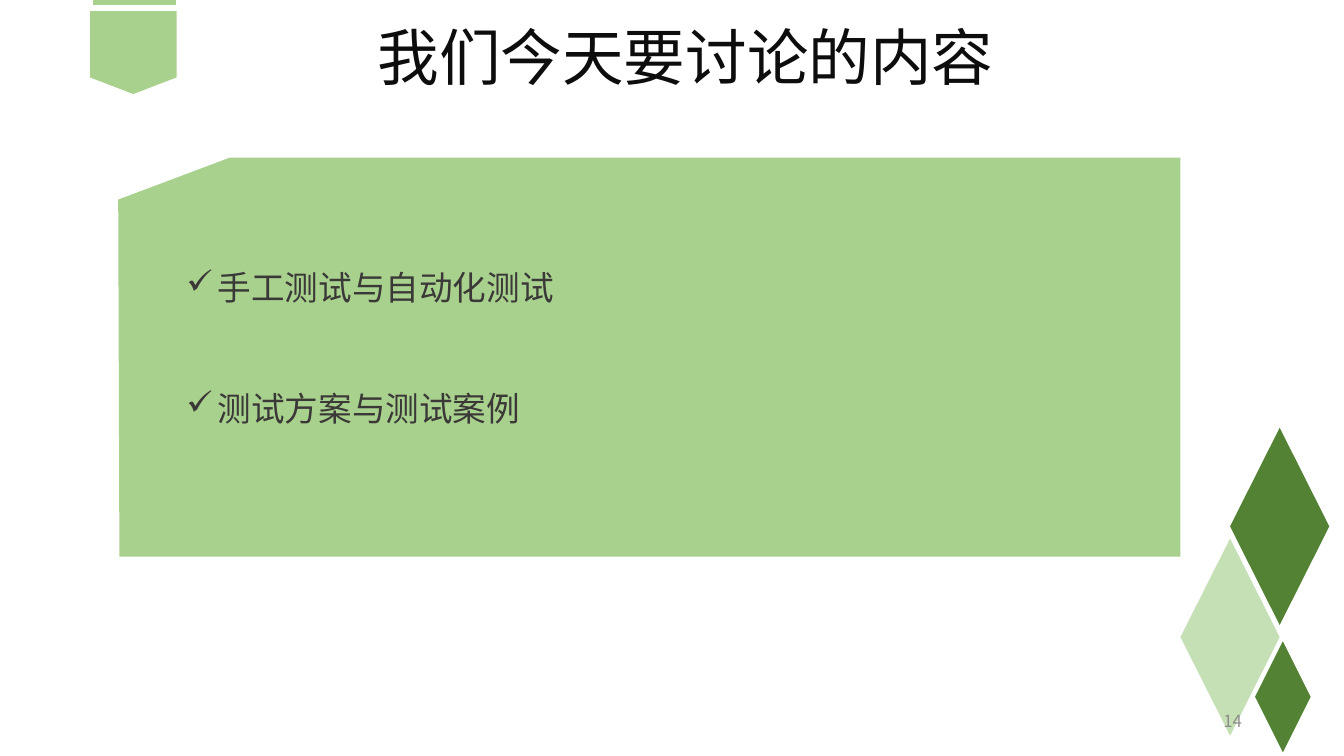
from dataclasses import dataclass

from lxml import etree
from pptx import Presentation
from pptx.dml.color import RGBColor
from pptx.enum.shapes import MSO_SHAPE
from pptx.enum.text import MSO_ANCHOR, PP_ALIGN
from pptx.oxml.ns import qn
from pptx.util import Cm, Pt

DIAMOND = MSO_SHAPE.DIAMOND
RIBBON = MSO_SHAPE.FLOWCHART_OFFPAGE_CONNECTOR
BAR = MSO_SHAPE.FLOWCHART_PROCESS
LEFT, CENTER, RIGHT = PP_ALIGN.LEFT, PP_ALIGN.CENTER, PP_ALIGN.RIGHT
TOP, MIDDLE = MSO_ANCHOR.TOP, MSO_ANCHOR.MIDDLE


@dataclass(frozen=True)
class Theme:
    """Colours, fonts and type sizes of the slide."""
    leaf: str = "A9D18E"
    forest: str = "548235"
    mint: str = "C5E0B4"
    title_ink: str = "0D0D0D"
    topic_ink: str = "3B3838"
    number_ink: str = "8C8C8C"
    chinese_font: str = "Noto Sans CJK SC"
    latin_font: str = "Arial"
    title_size: float = 44
    topic_size: float = 24
    number_size: float = 12
    topic_line: float = 43.2


THEME = Theme()


def paint(shape, color):
    """Give a shape a flat fill with no line or shadow."""
    shape.shadow.inherit = False
    shape.fill.solid()
    shape.fill.fore_color.rgb = RGBColor.from_string(color)
    shape.line.fill.background()


def add_ornament(slide, preset, box, color):
    """Add a flat decorative preset shape."""
    ornament = slide.shapes.add_shape(preset, *map(Cm, box))
    paint(ornament, color)


def add_panel(slide, corners, color):
    """Add a flat polygon through the given corners."""
    points = [(Cm(x), Cm(y)) for x, y in corners]
    builder = slide.shapes.build_freeform(*points[0])
    builder.add_line_segments(points[1:], close=True)
    paint(builder.convert_to_shape(), color)


def add_text(slide, box, lines, font, size, color, align=LEFT, anchor=TOP):
    """Add a wrapped text box and return its paragraphs."""
    frame = slide.shapes.add_textbox(*map(Cm, box)).text_frame
    frame.word_wrap = True
    frame.vertical_anchor = anchor
    frame.text = "\n".join(lines)
    for paragraph in frame.paragraphs:
        paragraph.alignment = align
        paragraph.font.name = font
        paragraph.font.size = Pt(size)
        paragraph.font.color.rgb = RGBColor.from_string(color)
        defaults = paragraph._p.pPr.find(qn("a:defRPr"))
        etree.SubElement(defaults, qn("a:ea"), typeface=THEME.chinese_font)
    return frame.paragraphs


def add_check(paragraph):
    """Put a hanging check mark before a paragraph."""
    properties = paragraph._p.pPr
    indent = Cm(0.79)
    properties.set("marL", str(indent))
    properties.set("indent", str(-indent))
    check = etree.Element(qn("a:buChar"), char="✓")
    properties.find(qn("a:defRPr")).addprevious(check)


def add_topics(slide, box, topics):
    """Add the checked list of topics, one empty line height apart."""
    paragraphs = add_text(slide, box, topics, THEME.latin_font,
                          THEME.topic_size, THEME.topic_ink)
    for paragraph in paragraphs:
        paragraph.line_spacing = Pt(THEME.topic_line)
        add_check(paragraph)
    for paragraph in paragraphs[1:]:
        paragraph.space_before = Pt(THEME.topic_line)


def main():
    """Build the agenda slide and save it."""
    deck = Presentation()
    deck.slide_width, deck.slide_height = Cm(33.87), Cm(19.05)
    slide = deck.slides.add_slide(deck.slide_layouts[6])

    title, = add_text(slide, (7.29, 0.56, 19.99, 2.13), ["我们今天要讨论的内容"],
                      THEME.chinese_font, THEME.title_size, THEME.title_ink, CENTER)
    title.line_spacing = 0.9

    ornaments = (
        (RIBBON, (2.27, 0.28, 2.18, 2.09), THEME.leaf),
        (BAR, (2.35, 0, 2.08, 0.13), THEME.leaf),
        (DIAMOND, (31, 10.78, 2.5, 4.97), THEME.forest),
        (DIAMOND, (29.75, 13.57, 2.5, 4.97), THEME.mint),
        (DIAMOND, (31.63, 16.16, 1.4, 2.8), THEME.forest),
    )
    for preset, box, color in ornaments:
        add_ornament(slide, preset, box, color)

    panel = ((2.98, 5.03), (5.8, 3.97), (29.75, 3.97), (29.75, 14.03), (3.01, 14.03))
    add_panel(slide, panel, THEME.leaf)
    add_topics(slide, (4.45, 6.1, 23.44, 4.67),
               ["手工测试与自动化测试", "测试方案与测试案例"])
    add_text(slide, (23.93, 17.65, 7.62, 1.02), ["14"], THEME.chinese_font,
             THEME.number_size, THEME.number_ink, RIGHT, MIDDLE)

    deck.save("out.pptx")


if __name__ == "__main__":
    main()
